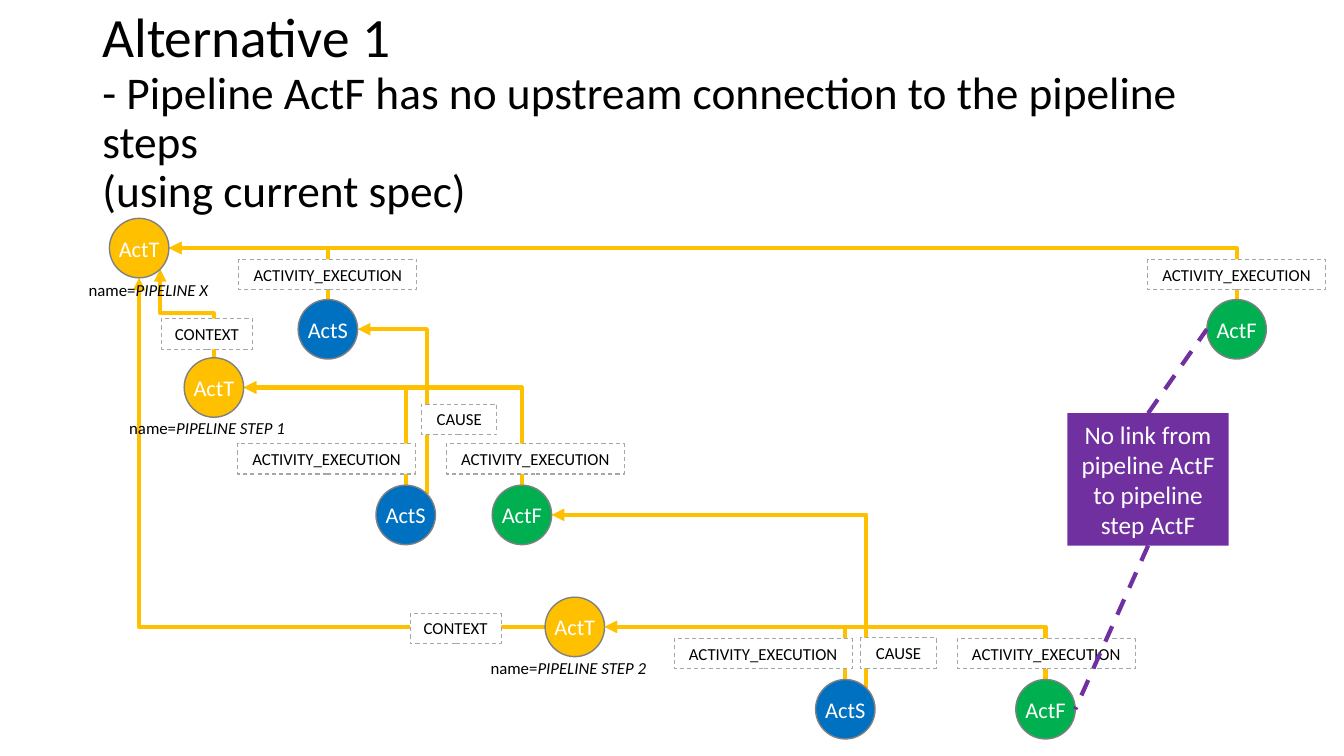
from lxml import etree
from pptx import Presentation
from pptx.dml.color import RGBColor
from pptx.enum import dml, shapes, text
from pptx.oxml import ns
from pptx.util import Pt

AMBER = RGBColor(0xFF, 0xC0, 0x00)
BLUE = RGBColor(0x00, 0x70, 0xC0)
GREEN = RGBColor(0x00, 0xB0, 0x50)
PURPLE = RGBColor(0x70, 0x30, 0xA0)
GREY = RGBColor(0x80, 0x80, 0x80)
LIGHT_GREY = RGBColor(0xA6, 0xA6, 0xA6)
WHITE = RGBColor(0xFF, 0xFF, 0xFF)
BLACK = RGBColor(0x00, 0x00, 0x00)

FONT = "Calibri"
RADIUS = 21.25
DIAGONAL = RADIUS * 0.7071
EVENT_COLORS = {"ActT": AMBER, "ActS": BLUE, "ActF": GREEN}
LABEL_WIDTHS = {"ACTIVITY_EXECUTION": 127, "CONTEXT": 65, "CAUSE": 54}

# Event centres: kind, x, y
EVENTS = {
    "pipeline T": ("ActT", 99.4, 177.2),
    "pipeline S": ("ActS", 234.2, 235.2),
    "pipeline F": ("ActF", 883.3, 235.2),
    "step 1 T": ("ActT", 152.8, 276.8),
    "step 1 S": ("ActS", 289.8, 367.8),
    "step 1 F": ("ActF", 372.8, 367.8),
    "step 2 T": ("ActT", 410.6, 447.8),
    "step 2 S": ("ActS", 603.8, 506.6),
    "step 2 F": ("ActF", 746.8, 506.6),
}
EXECUTIONS = [(f"{owner} {end}", f"{owner} T")
              for owner in ("pipeline", "step 1", "step 2") for end in "SF"]
CAUSES = [("step 1 S", "pipeline S"), ("step 2 S", "step 1 F")]

# Link labels: wording, centre x, top
LABELS = [
    ("ACTIVITY_EXECUTION", 234.2, 185.2),
    ("ACTIVITY_EXECUTION", 883.3, 185.2),
    ("ACTIVITY_EXECUTION", 233.4, 316.8),
    ("ACTIVITY_EXECUTION", 382.4, 316.8),
    ("ACTIVITY_EXECUTION", 545.2, 456),
    ("ACTIVITY_EXECUTION", 747.4, 456),
    ("CONTEXT", 147.8, 227.6),
    ("CONTEXT", 325.5, 438),
    ("CAUSE", 328, 288.6),
    ("CAUSE", 641.8, 455.6),
]

# Activity names: wording, left, top, width
NAMES = [
    ("PIPELINE X", 56.2, 196, 101),
    ("PIPELINE STEP 1", 85.2, 295, 127.5),
    ("PIPELINE STEP 2", 343.3, 466.2, 127.5),
]


def anchor(event, side):
    """Point on the edge of an event circle."""
    _, x, y = EVENTS[event]
    dx, dy = {
        "top": (0, -RADIUS), "bottom": (0, RADIUS),
        "left": (-RADIUS, 0), "right": (RADIUS, 0),
        "upper right": (DIAGONAL, -DIAGONAL),
        "lower right": (DIAGONAL, DIAGONAL),
    }[side]
    return x + dx, y + dy


def add_run(paragraph, words, size, color, italic=None):
    run = paragraph.add_run()
    run.text = words
    run.font.name, run.font.size, run.font.italic = FONT, Pt(size), italic
    run.font.color.rgb = color


def style_link(link, color):
    link.line.color.rgb = color
    link.line.width = Pt(3)
    etree.SubElement(link.element.spPr, ns.qn("a:effectLst"))


def add_elbow(slide, start, end, preset="bentConnector2", upward=True):
    """Arrow running up and to the left; upward sets its first leg."""
    (x1, y1), (x2, y2) = start, end
    across, along = x1 - x2, y1 - y2
    width, height = (along, across) if upward else (across, along)
    left, top = (x1 + x2 - width) / 2, (y1 + y2 - height) / 2
    bottom = top + height
    # Swapped vertical ends flip the connector before it is turned
    first, last = (bottom, top) if upward else (top, bottom)
    elbow = slide.shapes.add_connector(
        shapes.MSO_CONNECTOR.ELBOW, Pt(left), Pt(first), Pt(left + width), Pt(last))
    properties = elbow.element.spPr
    properties.find(ns.qn("a:xfrm")).set("rot", "16200000" if upward else "10800000")
    properties.find(ns.qn("a:prstGeom")).set("prst", preset)
    style_link(elbow, AMBER)
    etree.SubElement(properties.find(ns.qn("a:ln")), ns.qn("a:tailEnd"), type="triangle")


def add_missing_link(slide, start, end):
    link = slide.shapes.add_connector(
        shapes.MSO_CONNECTOR.STRAIGHT, *(Pt(value) for value in (*start, *end)))
    style_link(link, PURPLE)
    link.line.dash_style = dml.MSO_LINE.DASH


def add_box(slide, preset, bounds, fill, words, size, color):
    box = slide.shapes.add_shape(preset, *(Pt(value) for value in bounds))
    box.shadow.inherit = False
    box.fill.solid()
    box.fill.fore_color.rgb = fill
    box.line.fill.background()
    box.text_frame.word_wrap = True
    paragraph = box.text_frame.paragraphs[0]
    paragraph.alignment = text.PP_ALIGN.CENTER
    add_run(paragraph, words, size, color)
    return box


def add_event(slide, kind, x, y):
    bounds = (x - RADIUS, y - RADIUS, 2 * RADIUS, 2 * RADIUS)
    event = add_box(slide, shapes.MSO_SHAPE.FLOWCHART_CONNECTOR, bounds,
                    EVENT_COLORS[kind], kind, 16, WHITE)
    event.line.color.rgb = GREY
    event.line.width = Pt(1)
    frame = event.text_frame
    frame.margin_left = frame.margin_right = frame.margin_top = frame.margin_bottom = 0


def add_label(slide, words, center, top):
    width = LABEL_WIDTHS[words]
    label = add_box(slide, shapes.MSO_SHAPE.RECTANGLE, (center - width / 2, top, width, 21.8),
                    WHITE, words, 12, BLACK)
    label.line.color.rgb = LIGHT_GREY
    label.line.width = Pt(0.75)
    label.line.dash_style = dml.MSO_LINE.DASH
    label.text_frame.vertical_anchor = text.MSO_ANCHOR.TOP


def add_name(slide, words, left, top, width):
    name = slide.shapes.add_textbox(Pt(left), Pt(top), Pt(width), Pt(21.8))
    name.text_frame.word_wrap = False
    paragraph = name.text_frame.paragraphs[0]
    add_run(paragraph, "name=", 12, BLACK)
    add_run(paragraph, words, 12, BLACK, italic=True)


def add_title(slide):
    title = slide.shapes.add_textbox(Pt(66), Pt(28.8), Pt(828), Pt(104.4))
    title.text_frame.word_wrap = True
    title.text_frame.vertical_anchor = text.MSO_ANCHOR.MIDDLE
    paragraph = title.text_frame.paragraphs[0]
    paragraph.line_spacing = 0.9
    add_run(paragraph, "Alternative 1", 39.6, BLACK)
    for words in ("- Pipeline ActF has no upstream connection to the pipeline steps",
                  "(using current spec)"):
        paragraph.add_line_break()
        add_run(paragraph, words, 32.4, BLACK)


def main():
    deck = Presentation()
    deck.slide_width, deck.slide_height = Pt(960), Pt(540)
    slide = deck.slides.add_slide(deck.slide_layouts[6])
    add_title(slide)

    # Links between events
    for child, parent in EXECUTIONS:
        add_elbow(slide, anchor(child, "top"), anchor(parent, "right"))
    for effect, cause in CAUSES:
        add_elbow(slide, anchor(effect, "upper right"), anchor(cause, "right"))
    add_elbow(slide, anchor("step 1 T", "top"), anchor("pipeline T", "lower right"),
              preset="bentConnector3")
    add_elbow(slide, anchor("step 2 T", "left"), anchor("pipeline T", "bottom"), upward=False)

    # Events with their names and link labels
    for event in EVENTS.values():
        add_event(slide, *event)
    for label in LABELS:
        add_label(slide, *label)
    for name in NAMES:
        add_name(slide, *name)

    # Note on the missing link
    left, top, width, height = 762.5, 295.2, 115.2, 94.5
    add_box(slide, shapes.MSO_SHAPE.RECTANGLE, (left, top, width, height), PURPLE,
            "No link from pipeline ActF to pipeline step ActF", 18, WHITE)
    middle = left + width / 2
    add_missing_link(slide, (middle, top), anchor("pipeline F", "left"))
    add_missing_link(slide, (middle, top + height), anchor("step 2 F", "right"))

    deck.save("out.pptx")


if __name__ == "__main__":
    main()
